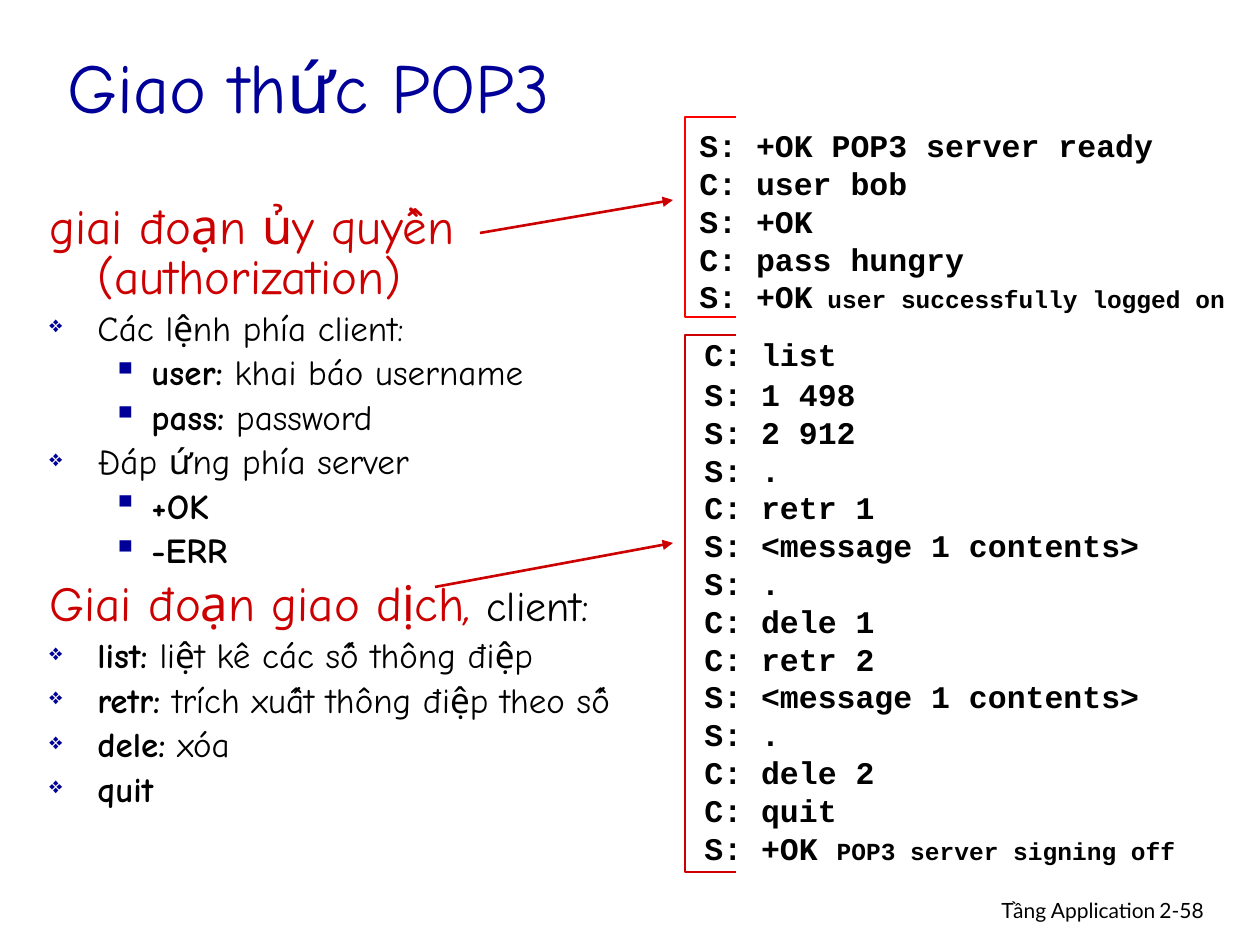
from pptx import Presentation
from pptx.dml.color import RGBColor
from pptx.enum.shapes import MSO_CONNECTOR as Conn
from pptx.enum.text import MSO_ANCHOR as Anchor, PP_ALIGN as Align
from pptx.oxml.ns import qn
from pptx.util import Pt
from lxml.etree import SubElement as Sub

PX = 914400 // 126
BLACK = RGBColor(0x00, 0x00, 0x00)
NAVY = RGBColor(0x00, 0x00, 0x99)
RED = RGBColor(0xCC, 0x00, 0x00)
BRIGHT = RGBColor(0xFF, 0x00, 0x00)
HAND, MONO, SANS = "Comic Neue", "Courier New", "Lato"

TITLE = "Giao thức POP3"
HEAD, ITEM, SUB = "head", "item", "sub"
BODY = [
    (HEAD, "giai đoạn ủy quyền (authorization)", ""),
    (ITEM, "", "Các lệnh phía client:"),
    (SUB, "user:", " khai báo username"),
    (SUB, "pass:", " password"),
    (ITEM, "", "Đáp ứng phía server"),
    (SUB, "+OK", ""),
    (SUB, "-ERR", ""),
    (HEAD, "Giai đoạn giao dịch", "client:"),
    (ITEM, "list:", " liệt kê các số thông điệp"),
    (ITEM, "retr:", " trích xuất thông điệp theo số"),
    (ITEM, "dele:", " xóa"),
    (ITEM, "quit", ""),
]
STYLES = {
    HEAD: (28, RED, 48, 48, None, None),
    ITEM: (20, BLACK, 48, 48, "❖", 65),
    SUB: (20, BLACK, 102, 39, "▪", 100),
}
LOGIN = [
    ("S: +OK POP3 server ready", ""),
    ("C: user bob", ""),
    ("S: +OK", ""),
    ("C: pass hungry", ""),
    ("S: +OK", " user successfully logged on"),
]
MAIL = [
    ("C: list", ""),
    ("S: 1 498", ""),
    ("S: 2 912", ""),
    ("S: .", ""),
    ("C: retr 1", ""),
    ("S: <message 1 contents>", ""),
    ("S: .", ""),
    ("C: dele 1", ""),
    ("C: retr 2", ""),
    ("S: <message 1 contents>", ""),
    ("S: .", ""),
    ("C: dele 2", ""),
    ("C: quit", ""),
    ("S: +OK ", "POP3 server signing off"),
]
LOGS = [(LOGIN, 687, 120, 0), (MAIL, 692, 329, 1.2)]
FOOT = [
    ("Tầng Application", 769, 399, Align.RIGHT),
    ("2-58", 1147, 93, Align.LEFT),
]
FRAMES = [(685, 117, 51, 200, BRIGHT), (685, 335, 51, 537, RED)]
ARROWS = [(480, 233, 673, 200), (435, 587, 673, 543)]

deck = Presentation()
deck.slide_width, deck.slide_height = 1260 * PX, 945 * PX
slide = deck.slides.add_slide(deck.slide_layouts[6])
shapes = slide.shapes


def box(x, y, w, h):
    frame = shapes.add_textbox(x * PX, y * PX, w * PX, h * PX).text_frame
    frame.word_wrap = True
    return frame


def lines(frame, rows):
    for i, row in enumerate(rows):
        yield (frame.add_paragraph() if i else frame.paragraphs[0]), row


def style(font, name, size, color, bold=None):
    font.name, font.size, font.bold = name, Pt(size), bold
    font.color.rgb = color


def add_run(para, text):
    run = para.add_run()
    run.text = text
    return run.font


def set_bullet(para, left, hang, mark, size):
    props = para._p.get_or_add_pPr()
    props.set("marL", str(left * PX))
    props.set("indent", str(-hang * PX))
    if mark:
        tint = Sub(props, qn("a:buClr"))
        Sub(tint, qn("a:srgbClr"), val=str(NAVY))
        Sub(props, qn("a:buSzPct"), val=str(size * 1000))
        Sub(props, qn("a:buChar"), char=mark)
    else:
        Sub(props, qn("a:buNone"))


def add_body():
    for para, (kind, lead, rest) in lines(box(37, 198, 604, 640), BODY):
        size, color, left, hang, mark, scale = STYLES[kind]
        set_bullet(para, left, hang, mark, scale)
        para.line_spacing = 0.85
        para.space_before = Pt(6 if kind == HEAD else 5)
        style(para.font, HAND, size, color)
        if lead:
            font = add_run(para, lead)
            if kind != HEAD:
                font.bold = True
        if rest and kind == HEAD:
            add_run(para, ",").italic = True
            style(add_run(para, " "), HAND, 24, BRIGHT)
            style(add_run(para, rest), HAND, 24, BLACK)
        elif rest:
            add_run(para, rest)


def add_log(rows, x, y, gap):
    frame = box(x, y, 1258 - x, 13 + 38 * len(rows))
    for i, (para, (text, note)) in enumerate(lines(frame, rows)):
        para.line_spacing = Pt(21.6)
        para.space_before = Pt(gap if i == 1 else 0)
        style(para.font, MONO, 18, BLACK, True)
        add_run(para, text)
        if note:
            add_run(para, note).size = Pt(14)


def add_frame(x, y, w, h, color):
    pen = shapes.build_freeform(x + w, y, scale=PX)
    pen.add_line_segments([(x, y), (x, y + h), (x + w, y + h)], close=False)
    shape = pen.convert_to_shape()
    shape.shadow.inherit = False
    shape.fill.background()
    shape.line.color.rgb, shape.line.width = color, Pt(1.5)


def add_arrow(*ends):
    arrow = shapes.add_connector(Conn.STRAIGHT, *(n * PX for n in ends))
    arrow.line.color.rgb, arrow.line.width = RED, Pt(1.5)
    Sub(arrow.line._get_or_add_ln(), qn("a:tailEnd"), type="triangle")
    Sub(arrow._element.spPr, qn("a:effectLst"))


for text, x, w, align in FOOT:
    para = box(x, 891, w, 38).paragraphs[0]
    para.alignment = align
    style(para.font, SANS, 12, BLACK)
    add_run(para, text)

head = box(55, 18, 1071, 134)
head.vertical_anchor = Anchor.MIDDLE
style(head.paragraphs[0].font, HAND, 40, NAVY)
add_run(head.paragraphs[0], TITLE)

add_body()
for log in LOGS:
    add_log(*log)
for frame in FRAMES:
    add_frame(*frame)
for arrow in ARROWS:
    add_arrow(*arrow)

deck.save("out.pptx")
